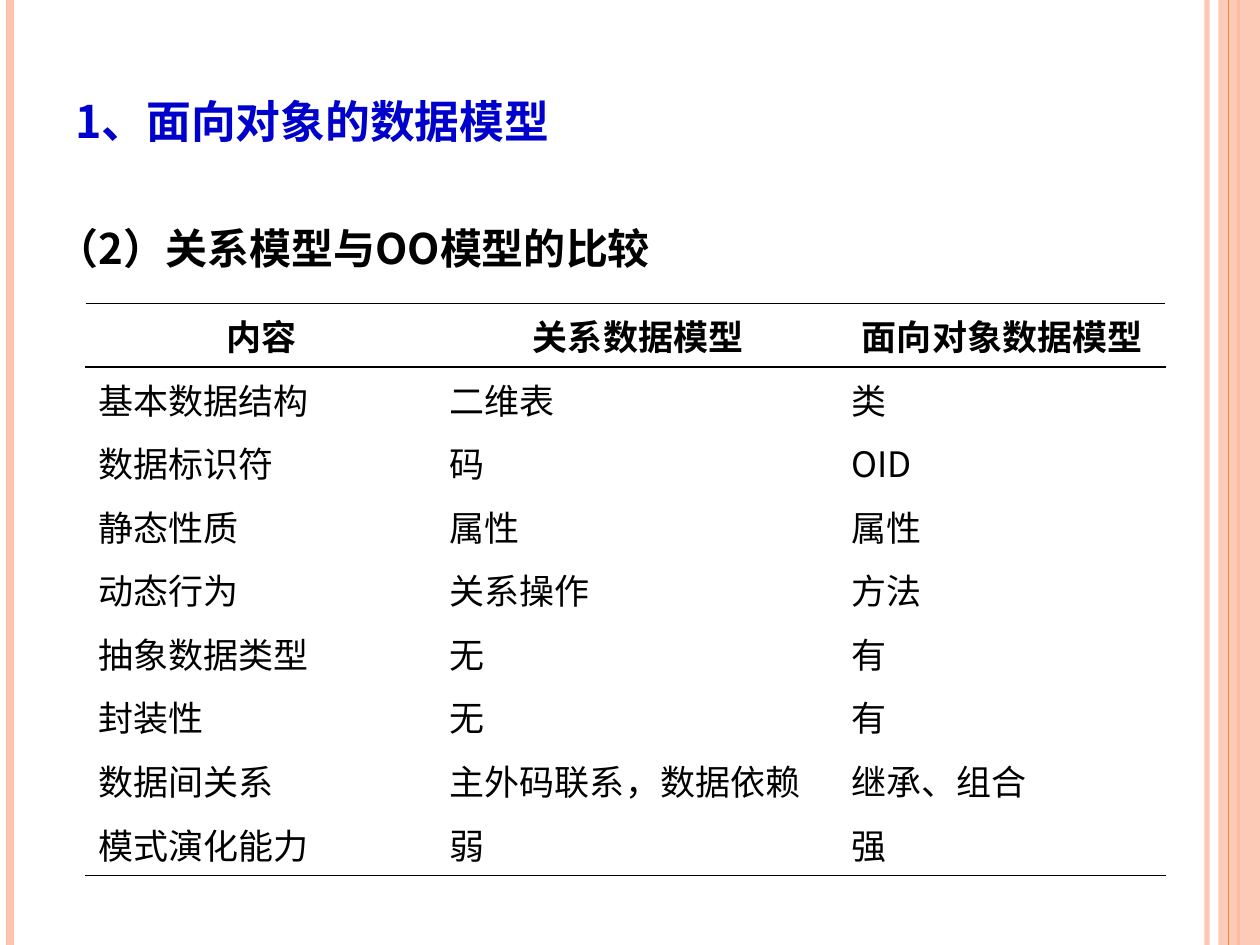
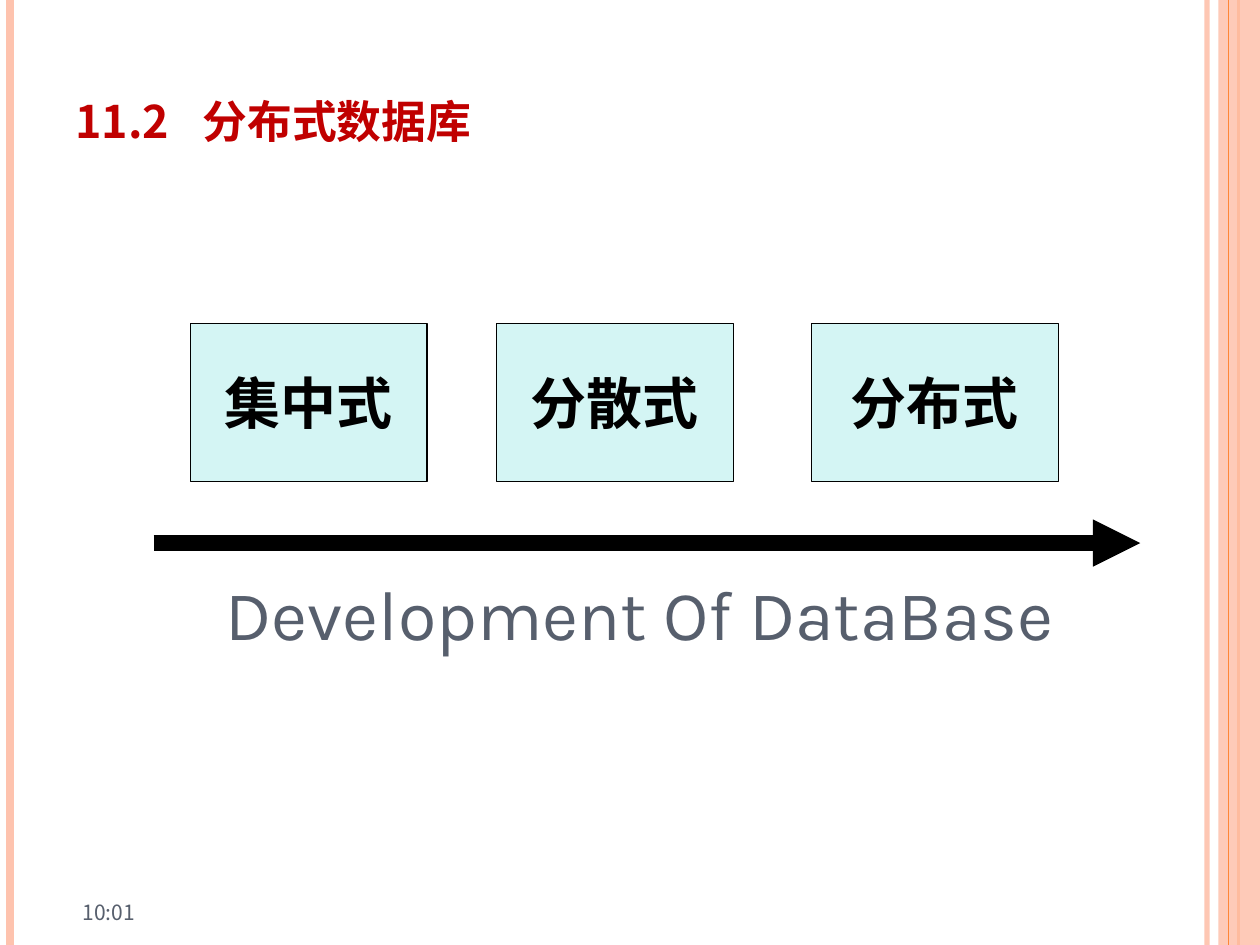
from lxml.etree import SubElement
from pptx import Presentation
from pptx.dml.color import RGBColor
from pptx.enum.shapes import MSO_CONNECTOR, MSO_SHAPE
from pptx.enum.text import MSO_ANCHOR, PP_ALIGN
from pptx.oxml import parse_xml
from pptx.oxml.ns import nsdecls, qn
from pptx.util import Inches, Pt

BLACK = RGBColor(0x00, 0x00, 0x00)
WHITE = RGBColor(0xFF, 0xFF, 0xFF)
BLUE = RGBColor(0x00, 0x00, 0xCC)
RED = RGBColor(0xC0, 0x00, 0x00)
SLATE = RGBColor(0x57, 0x5F, 0x6D)
PEACH = RGBColor(0xFE, 0xC3, 0xAE)
ORANGE = RGBColor(0xFE, 0x86, 0x37)
PALE_CYAN = RGBColor(0xD4, 0xF5, 0xF4)

CHINESE_FONT = "Noto Sans CJK SC"
LATIN_FONT = "Karla"
NO_GRID_STYLE = "{2D5ABB26-0587-4C30-8999-92F81FD0307C}"

COLUMN_WIDTHS = (2.79, 3.19, 2.59)
TABLE_HEIGHT = 4.54
MODEL_COMPARISON = (
    ("内容", "关系数据模型", "面向对象数据模型"),
    ("基本数据结构", "二维表", "类"),
    ("数据标识符", "码", "OID"),
    ("静态性质", "属性", "属性"),
    ("动态行为", "关系操作", "方法"),
    ("抽象数据类型", "无", "有"),
    ("封装性", "无", "有"),
    ("数据间关系", "主外码联系，数据依赖", "继承、组合"),
    ("模式演化能力", "弱", "强"),
)
STAGES = (("集中式", 1.51, 1.88), ("分散式", 3.94, 1.88), ("分布式", 6.44, 1.96))


def write_text(frame, text, size=20, color=BLACK, bold=False, font=CHINESE_FONT,
               align=PP_ALIGN.LEFT, line_spacing=None, small_caps=False, tab=None):
    para = frame.paragraphs[0]
    para.alignment = align
    para.line_spacing = line_spacing
    if tab:
        stops = SubElement(para._p.get_or_add_pPr(), qn("a:tabLst"))
        SubElement(stops, qn("a:tab"), pos=str(Inches(tab)), algn="l")
    span = para.add_run()
    span.text = text
    span.font.size = Pt(size)
    span.font.bold = bold
    span.font.name = font
    span.font.color.rgb = color
    properties = span._r.get_or_add_rPr()
    SubElement(properties, qn("a:ea"), typeface=CHINESE_FONT)
    if small_caps:
        properties.set("cap", "small")


def add_text(page, text, left, top, width, height, anchor=MSO_ANCHOR.TOP, **text_format):
    box = page.shapes.add_textbox(Inches(left), Inches(top), Inches(width), Inches(height))
    box.text_frame.word_wrap = True
    box.text_frame.vertical_anchor = anchor
    write_text(box.text_frame, text, **text_format)


def add_title(page, text, color, tab=None):
    add_text(page, text, 0.5, 0.46, 8.17, 0.93, anchor=MSO_ANCHOR.MIDDLE,
             size=32, color=color, bold=True, small_caps=True, tab=tab)


def set_opacity(element, percent):
    color = element.find(".//" + qn("a:srgbClr"))
    SubElement(color, qn("a:alpha"), val=str(percent * 1000))


def add_line(page, start, end, color, width):
    line = page.shapes.add_connector(MSO_CONNECTOR.STRAIGHT, *map(Inches, start + end))
    line.line.color.rgb = color
    line.line.width = Pt(width)
    SubElement(line._element.spPr, qn("a:effectLst"))
    return line


def add_rectangle(page, left, top, width, height, fill):
    box = page.shapes.add_shape(MSO_SHAPE.RECTANGLE, Inches(left), Inches(top),
                                Inches(width), Inches(height))
    box.shadow.inherit = False
    box.fill.solid()
    box.fill.fore_color.rgb = fill
    box.line.fill.background()
    return box


def add_side_stripes(page):
    def stripe(x, color, width):
        return add_line(page, (x, 0), (x, 7.5), color, width)

    set_opacity(stripe(9.58, PEACH, 3).line._get_or_add_ln(), 93)
    stripe(0.08, PEACH, 4.5)
    stripe(9.83, ORANGE, 1.5)
    band = add_rectangle(page, 9.67, 0, 0.33, 7.5, PEACH)
    set_opacity(band._element.spPr, 87)
    stripe(9.75, ORANGE, 0.75)


def add_page(deck):
    page = deck.slides.add_slide(deck.slide_layouts[6])
    page.background.fill.solid()
    page.background.fill.fore_color.rgb = WHITE
    add_side_stripes(page)
    return page


def set_borders(cell, **sides):
    """Draw 1 pt borders for L, R, T and B, in that order; None hides a side."""
    properties = cell._tc.get_or_add_tcPr()
    for position, (side, color) in enumerate(sides.items()):
        paint = "<a:noFill/>"
        if color is not None:
            paint = f'<a:solidFill><a:srgbClr val="{color}"/></a:solidFill>'
        properties.insert(position, parse_xml(
            f'<a:ln{side} {nsdecls("a")} w="{Pt(1)}">{paint}</a:ln{side}>'))


def add_comparison_table(page, rows, left, top):
    """Add a three-line table: rules above and below the header and at the end."""
    last_row, last_column = len(rows) - 1, len(COLUMN_WIDTHS) - 1
    table = page.shapes.add_table(
        len(rows), len(COLUMN_WIDTHS), Inches(left), Inches(top),
        Inches(sum(COLUMN_WIDTHS)), Inches(TABLE_HEIGHT)).table
    table.first_row = table.horz_banding = False
    table._tbl.tblPr.find(qn("a:tableStyleId")).text = NO_GRID_STYLE
    for column, width in zip(table.columns, COLUMN_WIDTHS):
        column.width = Inches(width)
    for row_index, row in enumerate(rows):
        table.rows[row_index].height = Inches(TABLE_HEIGHT / len(rows))
        header = row_index == 0
        for column_index, text in enumerate(row):
            cell = table.cell(row_index, column_index)
            cell.fill.background()
            write_text(cell.text_frame, text, bold=header,
                       align=PP_ALIGN.CENTER if header else PP_ALIGN.LEFT)
            set_borders(cell,
                        L=WHITE if column_index == 0 else None,
                        R=WHITE if column_index == last_column else None,
                        T=BLACK if row_index <= 1 else None,
                        B=BLACK if row_index in (0, last_row) else None)


def add_stage(page, text, left, width):
    box = add_rectangle(page, left, 2.57, width, 1.25, PALE_CYAN)
    box.line.color.rgb = BLACK
    box.line.width = Pt(0.75)
    box.text_frame.word_wrap = False
    box.text_frame.vertical_anchor = MSO_ANCHOR.MIDDLE
    write_text(box.text_frame, text, size=32, bold=True, font=LATIN_FONT,
               align=PP_ALIGN.CENTER)


def add_timeline_arrow(page):
    arrow = add_line(page, (1.22, 4.31), (9.05, 4.31), BLACK, 9)
    SubElement(arrow.line._get_or_add_ln(), qn("a:tailEnd"), type="triangle")


def build_model_comparison(deck):
    page = add_page(deck)
    add_title(page, "1、面向对象的数据模型", BLUE)
    add_text(page, "（2）关系模型与OO模型的比较", 0.35, 1.52, 8.19, 1.53,
             size=24, bold=True, line_spacing=1.5)
    add_comparison_table(page, MODEL_COMPARISON, 0.68, 2.41)


def build_distributed_database(deck):
    page = add_page(deck)
    add_title(page, "11.2\t分布式数据库", RED, tab=1.01)
    add_timeline_arrow(page)
    add_text(page, "Development Of DataBase", 1.69, 4.48, 6.89, 0.77,
             size=40, color=SLATE, font=LATIN_FONT)
    for text, left, width in STAGES:
        add_stage(page, text, left, width)
    add_text(page, "10:01", 0.2, 7.03, 1.33, 0.42, anchor=MSO_ANCHOR.MIDDLE,
             size=12, color=SLATE, align=PP_ALIGN.CENTER)


def main():
    deck = Presentation()
    deck.slide_width = Inches(10)
    deck.slide_height = Inches(7.5)
    build_model_comparison(deck)
    build_distributed_database(deck)
    deck.save("out.pptx")


if __name__ == "__main__":
    main()
